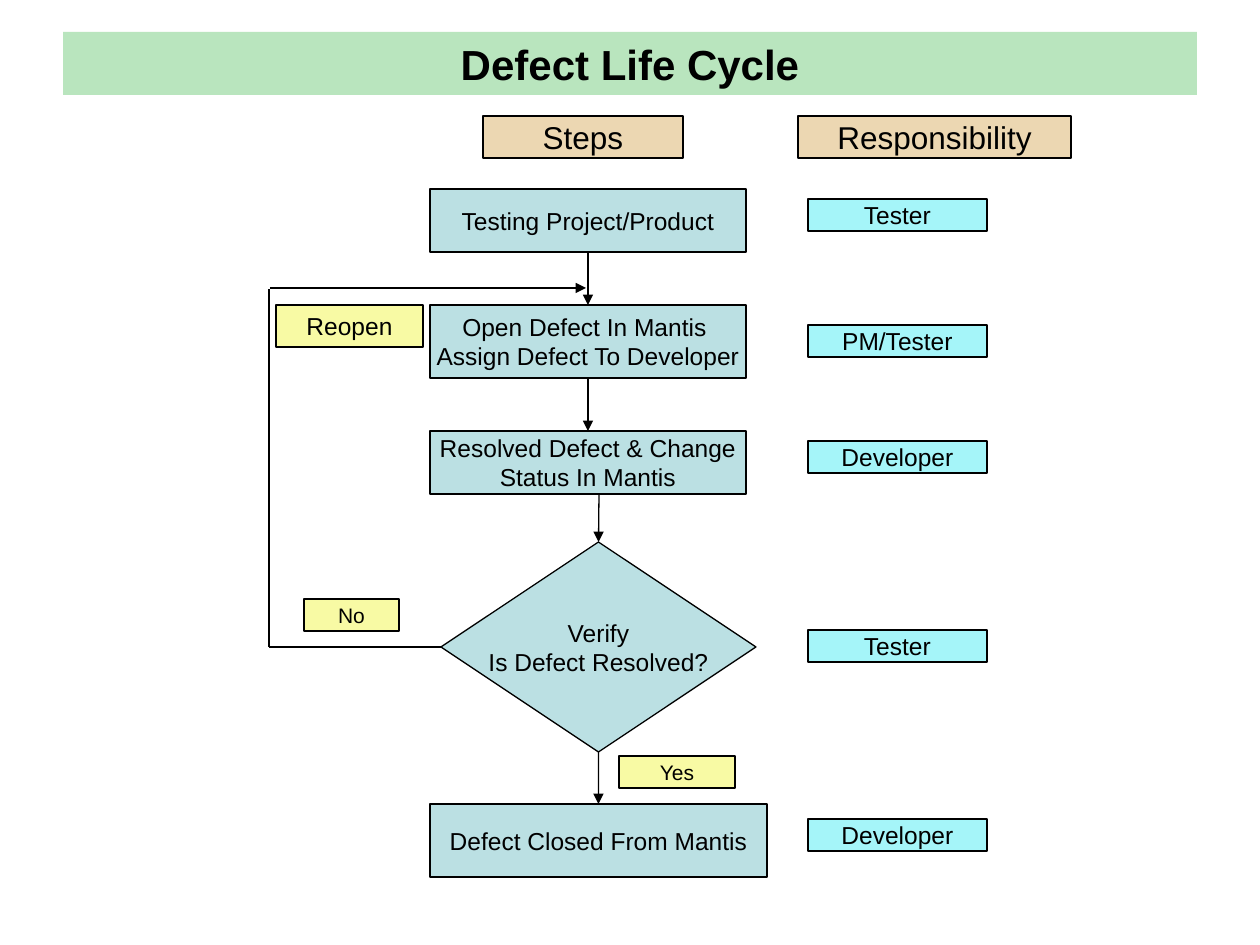
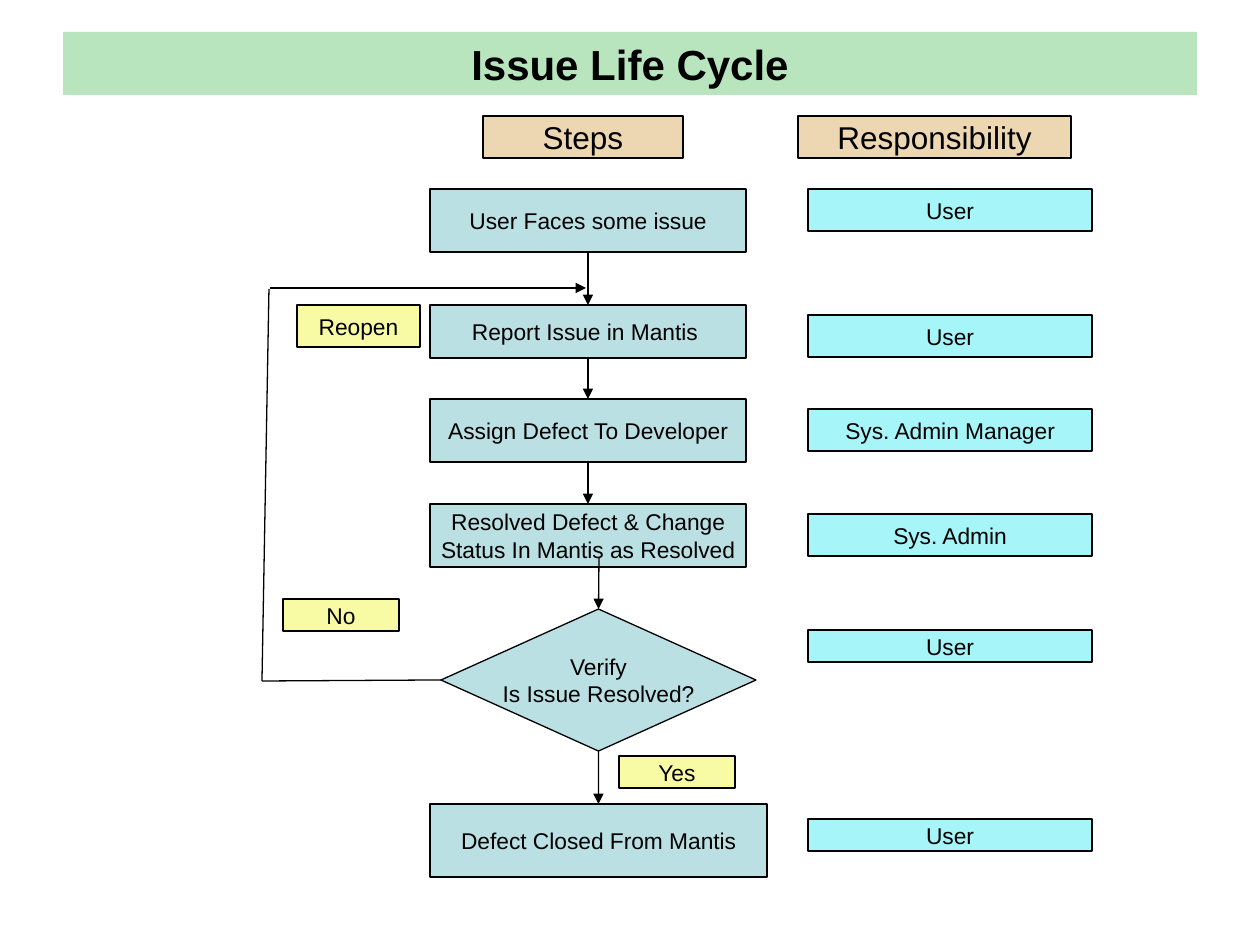
from lxml.etree import SubElement
from pptx import Presentation
from pptx.dml.color import RGBColor
from pptx.enum.shapes import MSO_CONNECTOR, MSO_SHAPE
from pptx.enum.text import MSO_ANCHOR, MSO_AUTO_SIZE, PP_ALIGN
from pptx.oxml.ns import qn
from pptx.util import Inches, Pt

SCALE = Inches(1) / 126
BLACK = RGBColor(0x00, 0x00, 0x00)
GREEN = RGBColor(0xB9, 0xE5, 0xBE)
TEAL = RGBColor(0xBB, 0xE0, 0xE3)
TAN = RGBColor(0xEC, 0xD7, 0xB2)
YELLOW = RGBColor(0xF8, 0xFA, 0xA4)
CYAN = RGBColor(0xA5, 0xF5, 0xF9)
RECT = MSO_SHAPE.RECTANGLE
DIAMOND = MSO_SHAPE.FLOWCHART_DECISION
TOP, LEFT, BOTTOM = 0, 1, 2


def box(slide, kind, text, place, fill, size):
    spot = [round(v * SCALE) for v in place]
    if kind is None:
        shape = slide.shapes.title
        shape.left, shape.top, shape.width, shape.height = spot
        shape.line.fill.background()
    else:
        shape = slide.shapes.add_shape(kind, *spot)
        shape.shadow.inherit = False
        shape.line.color.rgb = BLACK
        shape.line.width = Pt(0.75)
    shape.fill.solid()
    shape.fill.fore_color.rgb = fill
    frame = shape.text_frame
    frame.text = text
    style = {"word_wrap": kind is None, "auto_size": MSO_AUTO_SIZE.NONE,
             "vertical_anchor": MSO_ANCHOR.MIDDLE}
    for name, value in style.items():
        setattr(frame, name, value)
    face = {"name": "Arial", "size": Pt(size), "bold": kind is None}
    for line in frame.paragraphs:
        line.alignment = PP_ALIGN.CENTER
        for name, value in face.items():
            setattr(line.font, name, value)
        line.font.color.rgb = BLACK
    return shape


def wire(slide, start, end, arrow=True):
    free = [p if isinstance(p[0], int) else (0, 0) for p in (start, end)]
    spots = [round(v * SCALE) for p in free for v in p]
    link = slide.shapes.add_connector(MSO_CONNECTOR.STRAIGHT, *spots)
    for point, join in ((start, link.begin_connect), (end, link.end_connect)):
        if not isinstance(point[0], int):
            join(*point)
    link.line.color.rgb = BLACK
    link.line.width = Pt(0.75)
    if arrow:
        SubElement(link.line._get_or_add_ln(), qn("a:tailEnd"), type="triangle")
    SubElement(link._element.spPr, qn("a:effectLst"))


CHARTS = [
    {
        "title": "Defect Life Cycle", "size": 14, "small": 12,
        "steps": [("Testing Project/Product", 189, 63),
                  ("Open Defect In Mantis \nAssign Defect To Developer", 305, 73),
                  ("Resolved Defect & Change\nStatus In Mantis", 431, 63)],
        "check": ("Verify\nIs Defect Resolved?", 542, 210),
        "wide": 179,
        "roles": [("Tester", 199, 32), ("PM/Tester", 325, 32),
                  ("Developer", 441, 32), ("Tester", 630, 32),
                  ("Developer", 819, 32)],
        "reopen": (276, 305, 147, 42), "no": (304, 599, 95, 32),
        "drop": 494, "turn": (269, 647),
    },
    {
        "title": "Issue Life Cycle", "size": 13, "small": 13,
        "steps": [("User Faces some issue", 189, 63),
                  ("Report Issue in Mantis ", 305, 53),
                  ("Assign Defect To Developer", 399, 63),
                  ("Resolved Defect & Change\nStatus In Mantis as Resolved", 504, 63)],
        "check": ("Verify\nIs Issue Resolved?", 609, 142),
        "wide": 284,
        "roles": [("User", 189, 42), ("User", 315, 42),
                  ("Sys. Admin Manager", 409, 42), ("Sys. Admin", 514, 42),
                  ("User", 630, 32), ("User", 819, 32)],
        "reopen": (297, 305, 123, 42), "no": (283, 599, 116, 32),
        "drop": 557, "turn": (262, 681),
    },
]

deck = Presentation()
deck.slide_width, deck.slide_height = Inches(10), Inches(7.5)

for chart in CHARTS:
    slide = deck.slides.add_slide(deck.slide_layouts[5])
    size, small = chart["size"], chart["small"]
    box(slide, None, chart["title"], (63, 32, 1134, 63), GREEN, 24)
    box(slide, RECT, "Steps", (483, 116, 200, 42), TAN, 18)
    box(slide, RECT, "Responsibility", (798, 116, 273, 42), TAN, 18)

    steps = [box(slide, RECT, text, (430, top, 316, high), TEAL, size)
             for text, top, high in chart["steps"]]
    text, top, high = chart["check"]
    check = box(slide, DIAMOND, text, (441, top, 315, high), TEAL, size)
    close = box(slide, RECT, "Defect Closed From Mantis", (430, 804, 337, 73), TEAL, size)

    for text, top, high in chart["roles"]:
        box(slide, RECT, text, (808, top, chart["wide"], high), CYAN, size)
    box(slide, RECT, "Reopen", chart["reopen"], YELLOW, size)
    box(slide, RECT, "No", chart["no"], YELLOW, small)
    box(slide, RECT, "Yes", (619, 756, 116, 32), YELLOW, small)

    for step, after in zip(steps, steps[1:]):
        wire(slide, (step, BOTTOM), (after, TOP))
    wire(slide, (599, chart["drop"]), (check, TOP))
    wire(slide, (check, BOTTOM), (close, TOP))
    wire(slide, (check, LEFT), chart["turn"], arrow=False)
    wire(slide, (269, 289), chart["turn"], arrow=False)
    wire(slide, (270, 288), (586, 288))

deck.save("out.pptx")
